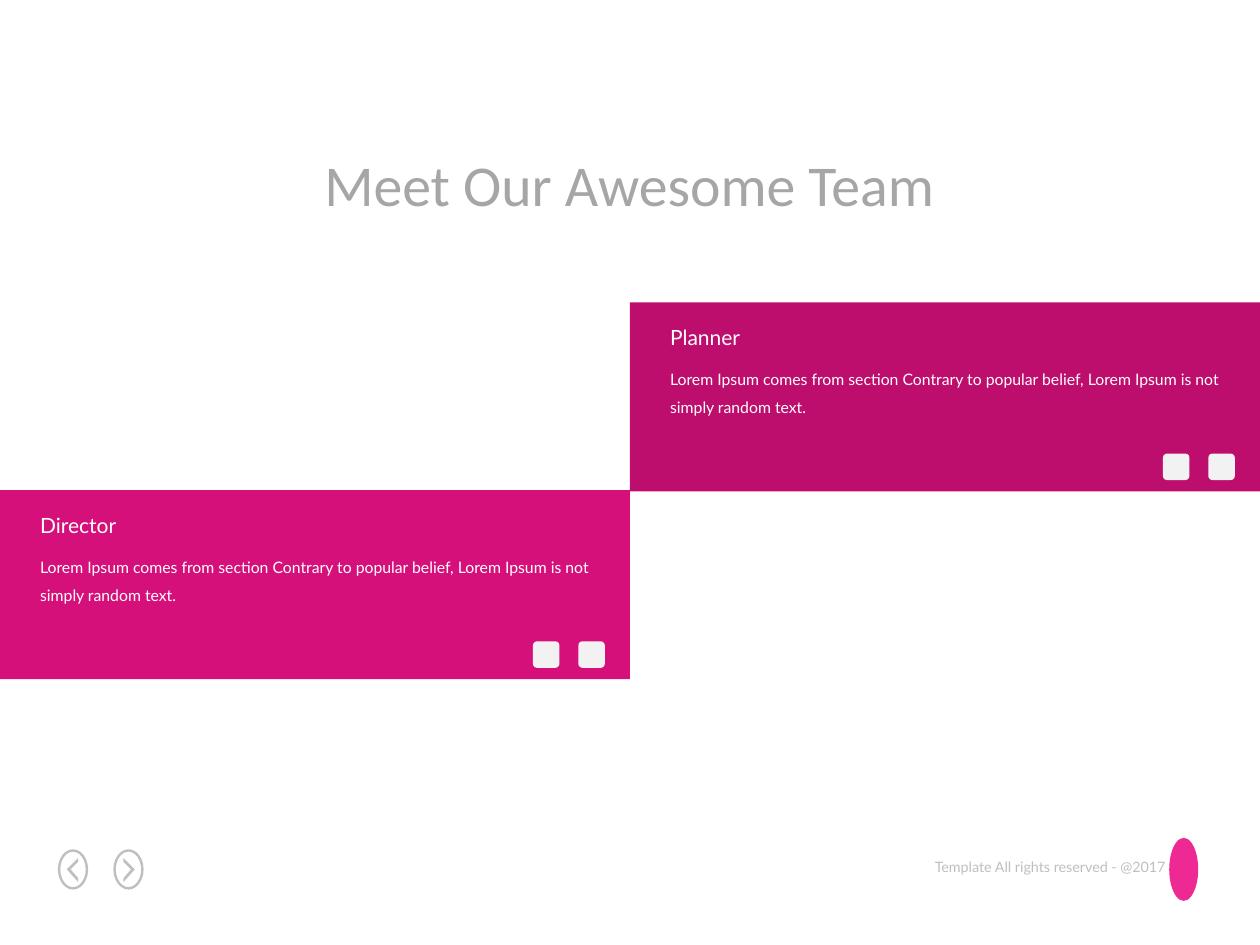
from dataclasses import dataclass
from pptx import Presentation
from pptx.dml.color import RGBColor
from pptx.enum.shapes import MSO_SHAPE
from pptx.enum.text import MSO_ANCHOR, MSO_AUTO_SIZE, PP_ALIGN
from pptx.util import Inches, Pt


@dataclass(frozen=True)
class Theme:
    pink: str = "D6107B"
    plum: str = "BE0E6D"
    rose: str = "EF2994"
    white: str = "FFFFFF"
    pale: str = "F2F2F2"
    gray: str = "A6A6A6"
    light: str = "BFBFBF"
    title: float = 33
    head: float = 12
    body: float = 9
    foot: float = 8.2
    main: str = "Calibri"
    text: str = "Lato"


class Deck:
    def __init__(self, theme):
        self.theme = theme
        self.show = Presentation()
        self.show.slide_width = Inches(10)
        self.show.slide_height = Inches(7.5)
        self.slide = self.show.slides.add_slide(self.show.slide_layouts[5])

    def label(self, box, words, size, color, font, align, wrap=False):
        frame = box.text_frame
        frame.text = words
        frame.word_wrap = wrap
        frame.auto_size = MSO_AUTO_SIZE.NONE
        frame.vertical_anchor = MSO_ANCHOR.TOP
        line = frame.paragraphs[0]
        line.alignment = align
        run = line.runs[0].font
        run.size = Pt(size)
        run.name = font
        run.color.rgb = RGBColor.from_string(color)
        return line

    def title(self, words, x, y, w, h):
        box = self.slide.shapes.title
        box.left, box.top = Inches(x), Inches(y)
        box.width, box.height = Inches(w), Inches(h)
        look = self.theme
        self.label(box, words, look.title, look.gray, look.main, PP_ALIGN.CENTER)

    def text(self, words, x, y, w, h, size, color, align=PP_ALIGN.LEFT, wrap=False):
        box = self.slide.shapes.add_textbox(Inches(x), Inches(y), Inches(w), Inches(h))
        return self.label(box, words, size, color, self.theme.text, align, wrap)

    def paint(self, shape, color):
        shape.shadow.inherit = False
        shape.fill.solid()
        shape.fill.fore_color.rgb = RGBColor.from_string(color)
        shape.line.fill.background()

    def shape(self, kind, x, y, w, h, color, bend=None):
        item = self.slide.shapes.add_shape(kind, Inches(x), Inches(y), Inches(w), Inches(h))
        self.paint(item, color)
        if bend is not None:
            item.adjustments[0] = bend

    def arrow(self, x, y, side):
        self.shape(MSO_SHAPE.DONUT, x - 0.12, y - 0.16, 0.24, 0.32, self.theme.light, 0.08)
        edge, tip = x - 0.04 * side, x + 0.05 * side
        spots = [(edge, y - 0.06), (x + 0.02 * side, y), (edge, y + 0.07),
                 (edge, y + 0.1), (tip, y), (edge, y - 0.09)]
        first, *rest = [(Inches(a), Inches(b)) for a, b in spots]
        pen = self.slide.shapes.build_freeform(*first)
        pen.add_line_segments(rest, close=True)
        self.paint(pen.convert_to_shape(), self.theme.light)

    def card(self, role, words, x, y, color):
        look = self.theme
        self.shape(MSO_SHAPE.RECTANGLE, x, y, 5, 1.5, color)
        line = self.text(words, x + 0.22, y + 0.41, 4.58, 0.56, look.body, look.white, wrap=True)
        line.line_spacing = 1.5
        self.text(role, x + 0.22, y + 0.13, 0.82, 0.3, look.head, look.white)
        for step in (4.23, 4.59):
            self.shape(MSO_SHAPE.ROUNDED_RECTANGLE, x + step, y + 1.2, 0.21, 0.21, look.pale, 0.15)


def main():
    look = Theme()
    deck = Deck(look)
    deck.text("Template All rights reserved - @2017", 7.25, 6.76, 2.1, 0.24,
              look.foot, look.light, PP_ALIGN.RIGHT)
    deck.arrow(0.58, 6.9, -1)
    deck.arrow(1.02, 6.9, 1)
    deck.shape(MSO_SHAPE.OVAL, 9.28, 6.65, 0.23, 0.5, look.rose)
    deck.title("Meet Our Awesome Team", 2.22, 1.13, 5.55, 0.66)
    words = ("Lorem Ipsum comes from section Contrary to popular belief, "
             "Lorem Ipsum is not simply random text.")
    deck.card("Director", words, 0, 3.89, look.pink)
    deck.card("Planner", words, 5, 2.4, look.plum)
    deck.show.save("out.pptx")


if __name__ == "__main__":
    main()
